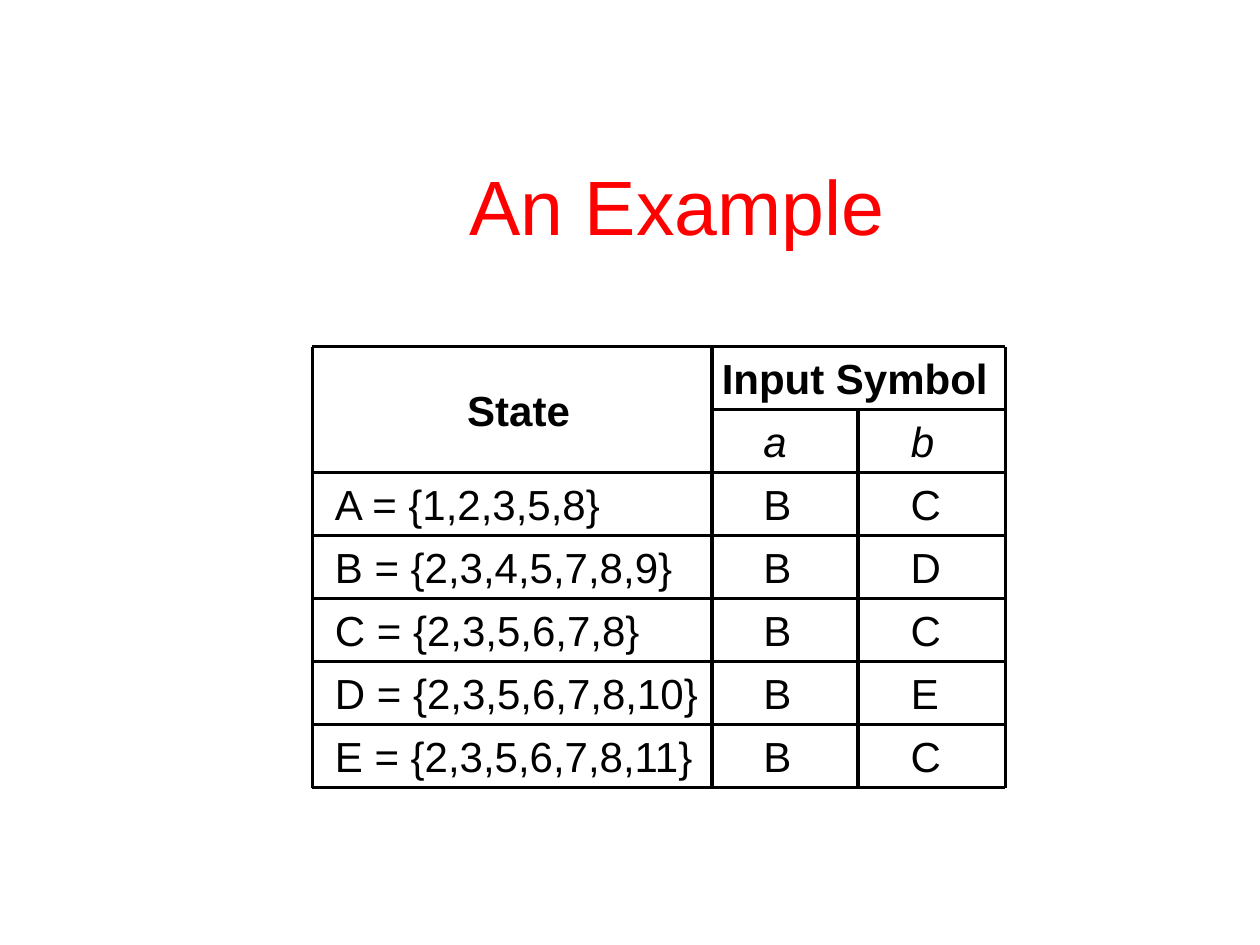
from lxml.etree import SubElement
from pptx import Presentation
from pptx.dml.color import RGBColor
from pptx.enum.shapes import MSO_CONNECTOR
from pptx.enum.text import MSO_ANCHOR, MSO_AUTO_SIZE, PP_ALIGN
from pptx.oxml.ns import qn
from pptx.util import Inches, Pt

FONT = "Arial"
BLACK = "000000"
RED = "FF0000"
LEFT, SYMBOL_X, SPLIT_X, RIGHT = 2.48, 5.65, 6.81, 7.98
TOP, ROW_HEIGHT, ROW_COUNT = 2.75, 0.5, 7
STATE_TEXT_X, A_TEXT_X, B_TEXT_X = 2.56, 5.96, 7.13
LETTER_WIDTHS = {"B": 0.42, "C": 0.44, "D": 0.44, "E": 0.42}
TRANSITIONS = [
    ("A = {1,2,3,5,8}", 2.32, "B", "C"),
    ("B = {2,3,4,5,7,8,9}", 2.88, "B", "D"),
    ("C = {2,3,5,6,7,8}", 2.62, "B", "C"),
    ("D = {2,3,5,6,7,8,10}", 3.08, "B", "E"),
    ("E = {2,3,5,6,7,8,11}", 3.07, "B", "C"),
]


def row_y(row):
    return TOP + row * ROW_HEIGHT


def set_font(p, size, color, bold=False, italic=False):
    p.font.name = FONT
    p.font.size = Pt(size)
    p.font.bold = bold
    p.font.italic = italic
    p.font.color.rgb = RGBColor.from_string(color)


def add_title(s, text):
    title = s.shapes.title
    title.left, title.top = Inches(1), Inches(1)
    title.width, title.height = Inches(8.75), Inches(1.25)
    tf = title.text_frame
    tf.text = text
    tf.vertical_anchor = MSO_ANCHOR.MIDDLE
    p = tf.paragraphs[0]
    p.alignment = PP_ALIGN.CENTER
    set_font(p, 44, RED)


def add_label(s, text, x, y, width, bold=False, italic=False, wrap=False):
    box = s.shapes.add_textbox(Inches(x), Inches(y), Inches(width),
                               Inches(ROW_HEIGHT))
    tf = box.text_frame
    tf.word_wrap = wrap
    tf.auto_size = MSO_AUTO_SIZE.SHAPE_TO_FIT_TEXT
    p = tf.paragraphs[0]
    p.text = text
    set_font(p, 24, BLACK, bold, italic)
    return p


def add_line(s, x1, y1, x2, y2):
    line = s.shapes.add_connector(MSO_CONNECTOR.STRAIGHT, Inches(x1),
                                  Inches(y1), Inches(x2), Inches(y2))
    line.line.color.rgb = RGBColor.from_string(BLACK)
    line.line.width = Pt(2)
    SubElement(line._element.spPr, qn("a:effectLst"))


def add_grid(s):
    for row in range(ROW_COUNT + 1):
        start = SYMBOL_X if row == 1 else LEFT
        add_line(s, start, row_y(row), RIGHT, row_y(row))
    for x in (LEFT, SYMBOL_X, SPLIT_X, RIGHT):
        start = row_y(1) if x == SPLIT_X else TOP
        add_line(s, x, start, x, row_y(ROW_COUNT))


def add_headings(s):
    p = add_label(s, "State", 2.98, 3, 1.78, bold=True, wrap=True)
    p.level = 1
    pPr = p._p.get_or_add_pPr()
    pPr.set("marL", str(Inches(0.63)))
    pPr.set("indent", "0")
    add_label(s, "Input Symbol", 5.63, TOP, 2.31, bold=True)
    for text, x in (("a", A_TEXT_X), ("b", B_TEXT_X)):
        add_label(s, text, x, row_y(1), 0.39, italic=True)


def add_transitions(s):
    for row, (state, width, on_a, on_b) in enumerate(TRANSITIONS, 2):
        add_label(s, state, STATE_TEXT_X, row_y(row), width)
        for letter, x in ((on_a, A_TEXT_X), (on_b, B_TEXT_X)):
            add_label(s, letter, x, row_y(row), LETTER_WIDTHS[letter])


def main():
    prs = Presentation()
    prs.slide_width, prs.slide_height = Inches(10), Inches(7.5)
    s = prs.slides.add_slide(prs.slide_layouts[5])
    add_title(s, "An Example")
    add_grid(s)
    add_headings(s)
    add_transitions(s)
    prs.save("out.pptx")


if __name__ == "__main__":
    main()
